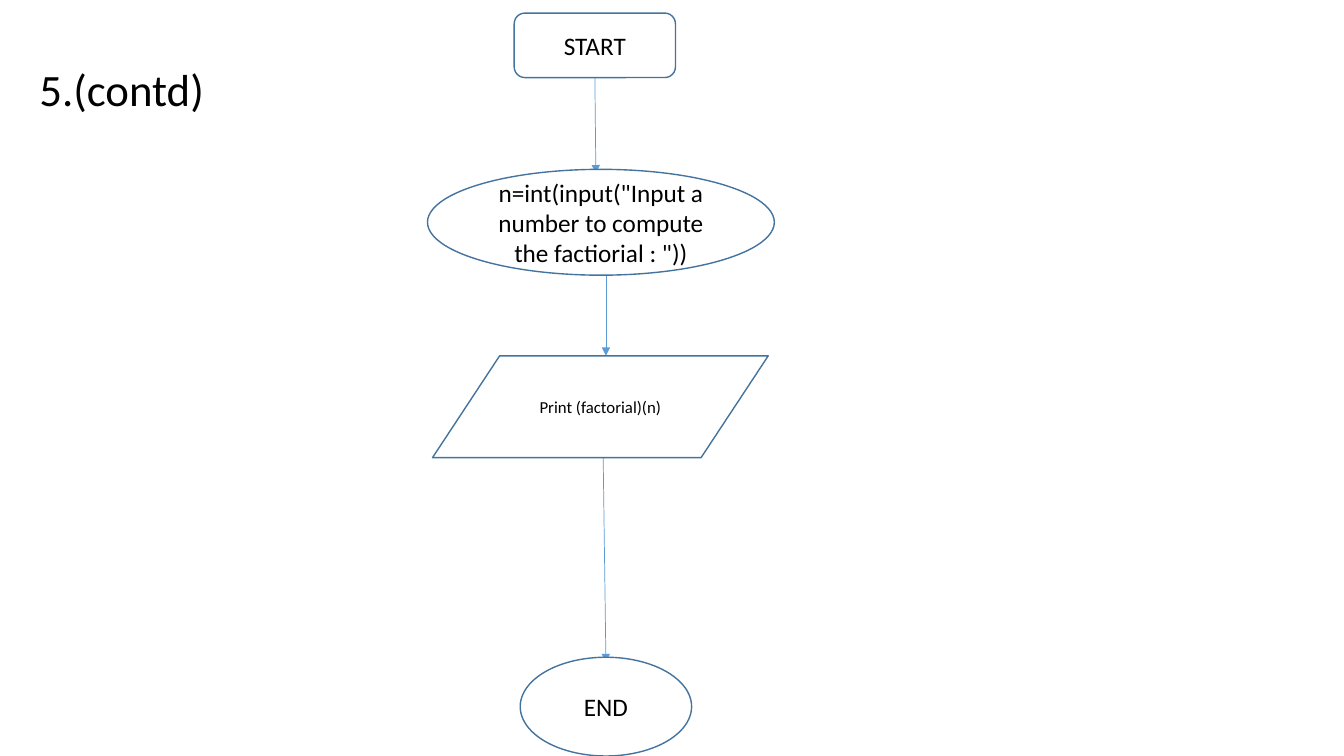
from dataclasses import dataclass

from lxml.etree import SubElement
from pptx import Presentation
from pptx.dml.color import RGBColor
from pptx.enum.shapes import MSO_CONNECTOR, MSO_SHAPE
from pptx.enum.text import MSO_ANCHOR, PP_ALIGN
from pptx.oxml.ns import qn
from pptx.util import Inches, Pt

COLORS = {"text": "000000", "fill": "FFFFFF", "outline": "43739E", "arrow": "5B9BD5"}


@dataclass
class Node:
    text: str
    kind: MSO_SHAPE
    left: float
    top: float
    width: float
    height: float
    size: int = 18


@dataclass
class Arrow:
    start: tuple[float, float]
    end: tuple[float, float]


ARROWS = [
    Arrow((5.9, 0.76), (5.91, 1.72)),
    Arrow((6.01, 2.73), (6.01, 3.53)),
    Arrow((5.98, 4.35), (6.01, 6.57)),
]
NODES = [
    Node("START", MSO_SHAPE.ROUNDED_RECTANGLE, 5.1, 0.13, 1.6, 0.64),
    Node('n=int(input("Input a number to compute the factiorial : "))',
         MSO_SHAPE.OVAL, 4.24, 1.68, 3.44, 1.05),
    Node("Print (factorial)(n)", MSO_SHAPE.FLOWCHART_DATA, 4.29, 3.53, 3.33, 1.01, size=12),
    Node("END", MSO_SHAPE.OVAL, 5.16, 6.52, 1.7, 0.98),
]


def color(name: str) -> RGBColor:
    return RGBColor.from_string(COLORS[name])


def write_text(box, text: str, *, size: int, align=PP_ALIGN.CENTER,
               anchor=MSO_ANCHOR.MIDDLE) -> None:
    frame = box.text_frame
    frame.word_wrap = True
    frame.vertical_anchor = anchor
    para = frame.paragraphs[0]
    para.alignment = align
    span = para.add_run()
    span.text = text
    span.font.name = "Calibri"
    span.font.size = Pt(size)
    span.font.color.rgb = color("text")


def draw_node(page, node: Node) -> None:
    box = page.shapes.add_shape(node.kind, Inches(node.left), Inches(node.top),
                                Inches(node.width), Inches(node.height))
    box.shadow.inherit = False
    box.fill.solid()
    box.fill.fore_color.rgb = color("fill")
    box.line.color.rgb = color("outline")
    box.line.width = Pt(1)
    write_text(box, node.text, size=node.size)


def draw_arrow(page, arrow: Arrow) -> None:
    points = [Inches(value) for value in (*arrow.start, *arrow.end)]
    connector = page.shapes.add_connector(MSO_CONNECTOR.STRAIGHT, *points)
    connector.line.color.rgb = color("arrow")
    connector.line.width = Pt(0.5)
    properties = connector.element.spPr
    SubElement(properties.find(qn("a:ln")), qn("a:tailEnd"), type="triangle")
    SubElement(properties, qn("a:effectLst"))


def main() -> None:
    deck = Presentation()
    deck.slide_width, deck.slide_height = Inches(13.33), Inches(7.5)
    page = deck.slides.add_slide(deck.slide_layouts[5])

    # Title
    title = page.shapes.title
    title.left, title.top = Inches(0.29), Inches(0.56)
    title.width, title.height = Inches(2.1), Inches(0.64)
    write_text(title, "5.(contd)", size=32, align=PP_ALIGN.LEFT, anchor=MSO_ANCHOR.TOP)

    # Flowchart: arrows lie behind the nodes
    for arrow in ARROWS:
        draw_arrow(page, arrow)
    for node in NODES:
        draw_node(page, node)

    deck.save("out.pptx")


if __name__ == "__main__":
    main()
